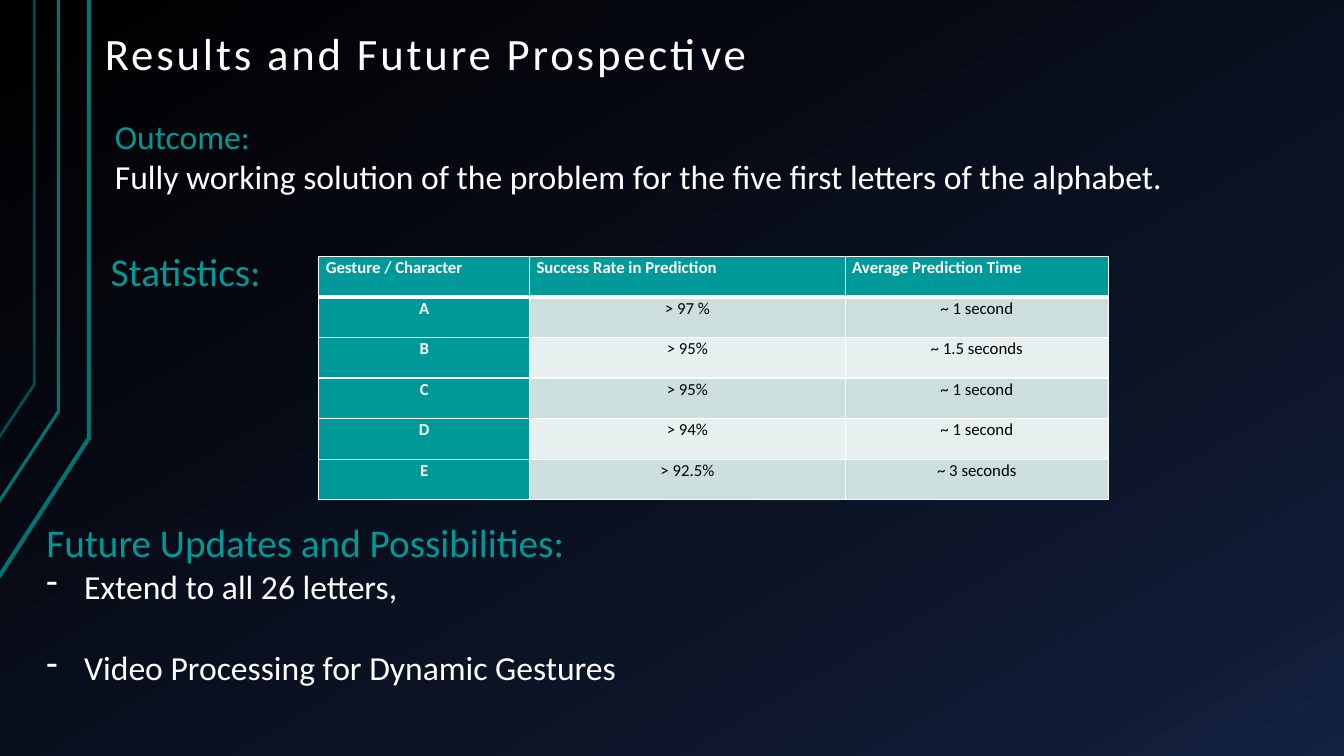
"""Builds the results and future prospective slide."""
from copy import deepcopy

from lxml.etree import SubElement
from pptx import Presentation
from pptx.dml.color import RGBColor
from pptx.enum.text import MSO_ANCHOR, PP_ALIGN
from pptx.oxml import parse_xml
from pptx.oxml.ns import nsdecls, qn
from pptx.util import Pt

COLORS = {name: RGBColor.from_string(value) for name, value in {
    "white": "FFFFFF", "black": "000000", "teal": "009999", "frame": "007373",
    "band": "CCDEDE", "light": "E7EFEF", "night": "0F1931", "navy": "142242",
}.items()}


def format_span(paragraph, size, color, bold=False):
    font = paragraph.runs[0].font
    font.name = "Calibri"
    font.size = Pt(size)
    font.bold = bold
    font.color.rgb = COLORS[color]


def add_text(page, left, top, width, height, lines):
    box = page.shapes.add_textbox(Pt(left), Pt(top), Pt(width), Pt(height))
    box.text_frame.word_wrap = True
    box.text_frame.text = "\n".join(text for text, size, color in lines)
    for paragraph, (text, size, color) in zip(box.text_frame.paragraphs, lines):
        format_span(paragraph, size, color)
    return box.text_frame


deck = Presentation()
deck.slide_width, deck.slide_height = Pt(960), Pt(540)
page = deck.slides.add_slide(deck.slide_layouts[6])

backdrop = page.background.fill
backdrop.gradient()
backdrop.gradient_angle = 300
stop_list = page.background._cSld.find(".//" + qn("a:gsLst"))
stop_list.append(deepcopy(stop_list[-1]))
stops = [(0, "black"), (0.85, "night"), (1, "navy")]
for stop, (position, color) in zip(backdrop.gradient_stops, stops):
    stop.position = position
    stop.color.rgb = COLORS[color]

frame_lines = [
    (-0.7, 412, 63.5, 313, 3, 100),
    (-1.4, 359.5, 41.75, 294, 2.25, 100),
    (-0.7, 312.5, 24.5, 274.5, 2, 65),
]
for start, low, right, bend, weight, opacity in frame_lines:
    builder = page.shapes.build_freeform(Pt(start), Pt(low))
    builder.add_line_segments([(Pt(right), Pt(bend)), (Pt(right), 0)], close=False)
    outline = builder.convert_to_shape()
    outline.shadow.inherit = False
    outline.fill.background()
    outline.line.width = Pt(weight)
    outline.line.color.rgb = COLORS["frame"]
    tint = outline.line._ln.find(".//" + qn("a:srgbClr"))
    SubElement(tint, qn("a:alpha"), val=str(opacity * 1000))

title = add_text(page, 65.5, 12.25, 846, 50.4,
                 [("Results and Future Prospective", 32, "white")])
title.vertical_anchor = MSO_ANCHOR.BOTTOM
title.margin_left = title.margin_right = Pt(9.4)
title.margin_top = title.margin_bottom = Pt(5)
title.paragraphs[0].line_spacing = 0.9
title.paragraphs[0].runs[0].font._element.set("spc", "200")

records = [
    ("Gesture / Character", "Success Rate in Prediction", "Average Prediction Time"),
    ("A", "> 97 %", "~ 1 second"),
    ("B", "> 95%", "~ 1.5 seconds"),
    ("C", "> 95%", "~ 1 second"),
    ("D", "> 94%", "~ 1 second"),
    ("E", "> 92.5%", "~ 3 seconds"),
]
widths = [150.5, 225.5, 188]
row_height = 29
table = page.shapes.add_table(
    len(records), len(widths), Pt(227.75), Pt(183), Pt(sum(widths)),
    Pt(row_height * len(records))).table
for column, width in zip(table.columns, widths):
    column.width = Pt(width)
for row_index, record in enumerate(records):
    table.rows[row_index].height = Pt(row_height)
    for column_index, text in enumerate(record):
        heading = row_index == 0 or column_index == 0
        cell = table.cell(row_index, column_index)
        cell.margin_left = cell.margin_right = Pt(5)
        cell.margin_top = cell.margin_bottom = 0
        cell.text_frame.text = text
        paragraph = cell.text_frame.paragraphs[0]
        paragraph.line_spacing = 1.07
        paragraph.alignment = PP_ALIGN.CENTER if row_index else PP_ALIGN.LEFT
        format_span(paragraph, 12, "white" if heading else "black", heading)
        cell.fill.solid()
        shade = "teal" if heading else "band" if row_index % 2 else "light"
        cell.fill.fore_color.rgb = COLORS[shade]
        edges = {"L": 1, "R": 1, "T": 3 if row_index == 1 else 1,
                 "B": 3 if row_index == 0 else 1}
        for order, (edge, weight) in enumerate(edges.items()):
            cell._tc.tcPr.insert(order, parse_xml(
                f'<a:ln{edge} {nsdecls("a")} w="{Pt(weight)}"><a:solidFill>'
                f'<a:srgbClr val="{COLORS["white"]}"/></a:solidFill></a:ln{edge}>'))

add_text(page, 72, 172.8, 363.6, 41, [("Statistics:", 28, "teal")])

future = add_text(page, 26, 367, 507.6, 128, [
    ("Future Updates and Possibilities:", 28, "teal"),
    ("Extend to all 26 letters,", 24, "white"),
    ("Video Processing for Dynamic Gestures", 24, "white"),
])
for paragraph in future.paragraphs[1:]:
    properties = paragraph._p.get_or_add_pPr()
    properties.set("marL", str(Pt(27)))
    properties.set("indent", str(Pt(-27)))
    SubElement(properties, qn("a:buChar"), char="-")
future.paragraphs[2].space_before = Pt(29.3)

add_text(page, 75, 79.2, 810, 65.5, [
    ("Outcome: ", 24, "teal"),
    ("Fully working solution of the problem for the five first letters of the alphabet.",
     24, "white"),
])

deck.save("out.pptx")
